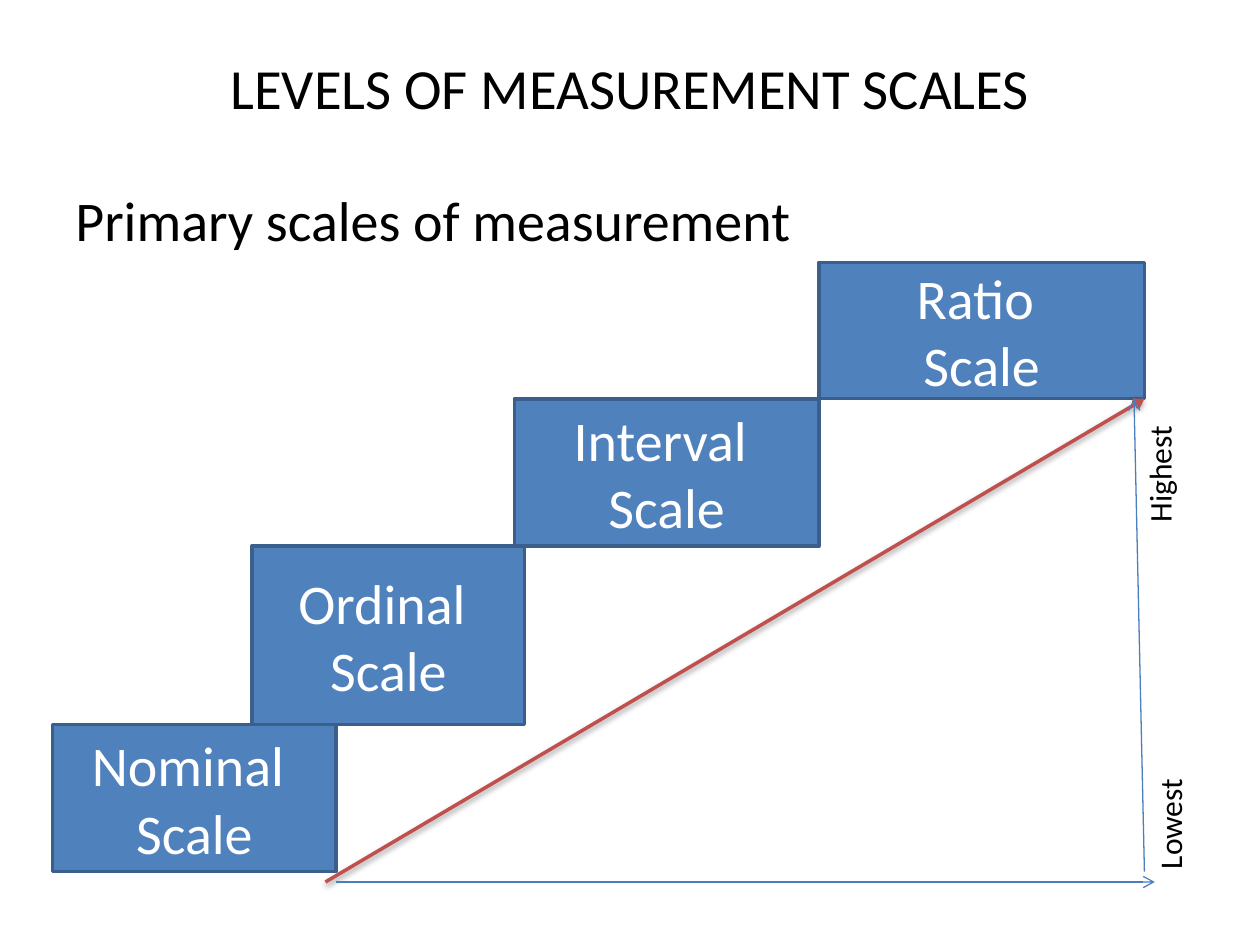
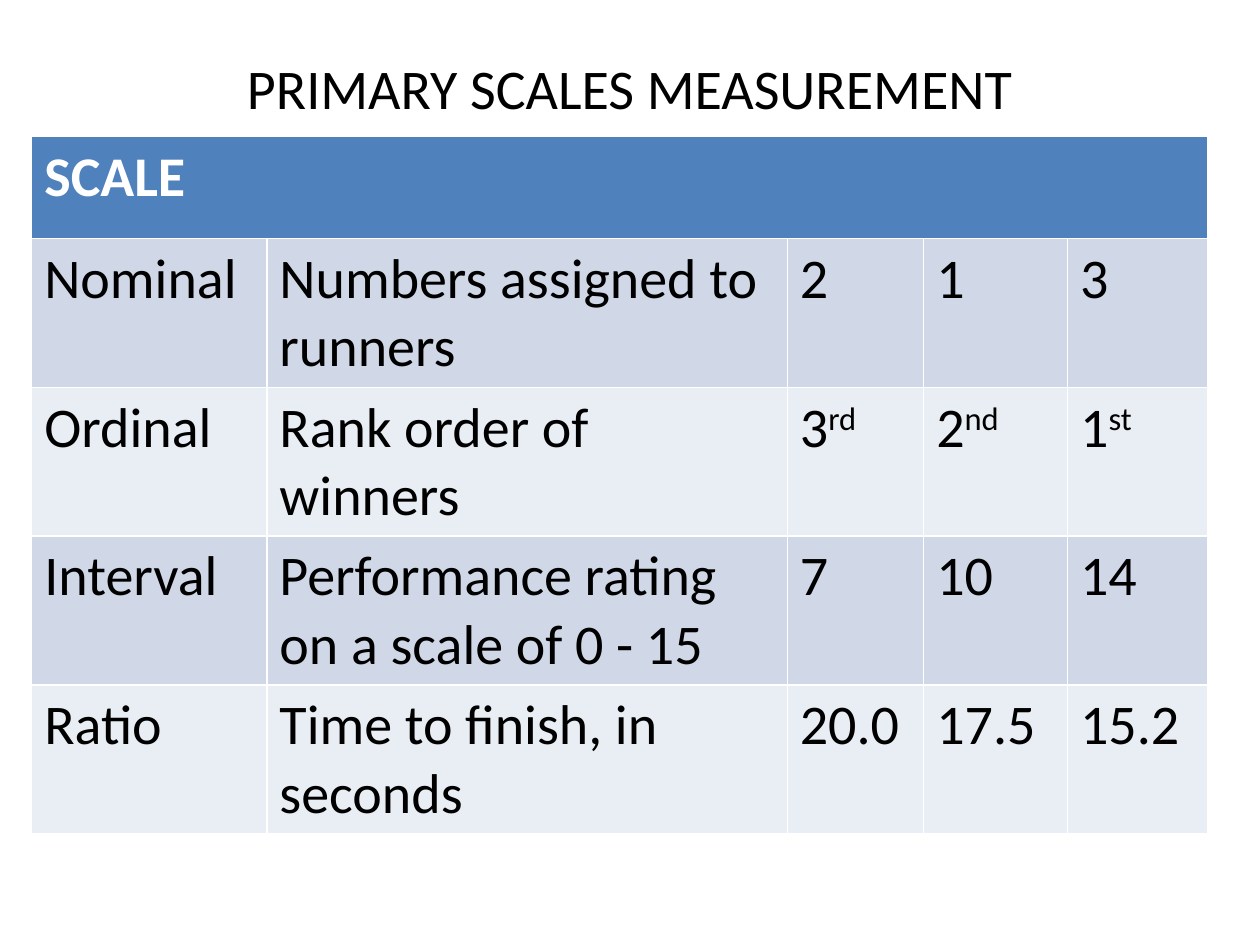
from lxml.etree import SubElement
from pptx import Presentation
from pptx.dml.color import RGBColor
from pptx.enum.shapes import MSO_CONNECTOR, MSO_SHAPE
from pptx.enum.text import MSO_ANCHOR, PP_ALIGN
from pptx.oxml.ns import qn
from pptx.util import Cm, Pt

BLUE, EDGE, THIN, RED = "4F81BD", "3A5F8C", "4B7EBC", "C0504D"
BLACK, WHITE = "000000", "FFFFFF"
BANDS = ["D0D8E8", "E9EDF4"]


def paint(fill, color):
    fill.solid()
    fill.fore_color.rgb = RGBColor.from_string(color)


def write(par, text, color=BLACK, size=32, bold=False):
    run = par.add_run()
    run.text = text
    run.font.name = "Calibri"
    run.font.size = Pt(size)
    run.font.bold = bold
    paint(run.font.fill, color)
    return run


deck = Presentation()
deck.slide_width, deck.slide_height = Cm(25.4), Cm(19.05)

slides = []
for title, size in [("LEVELS OF MEASUREMENT SCALES", 32.4),
                    ("PRIMARY SCALES MEASUREMENT", 32)]:
    slide = deck.slides.add_slide(deck.slide_layouts[6])
    frame = slide.shapes.add_textbox(Cm(1.27), Cm(0.76), Cm(22.86), Cm(1.98)).text_frame
    frame.word_wrap = True
    frame.vertical_anchor = MSO_ANCHOR.MIDDLE
    frame.paragraphs[0].alignment = PP_ALIGN.CENTER
    write(frame.paragraphs[0], title, size=size)
    slides.append(slide)
steps, grid = slides

frame = steps.shapes.add_textbox(Cm(1.27), Cm(3.61), Cm(22.86), Cm(13.41)).text_frame
frame.word_wrap = True
write(frame.paragraphs[0], "Primary scales of measurement")

for name, left, top, width, height in [
    ("Nominal ", 1.06, 14.61, 5.72, 2.96),
    ("Ordinal ", 5.08, 11.01, 5.5, 3.6),
    ("Interval ", 10.37, 8.04, 6.14, 2.97),
    ("Ratio ", 16.51, 5.29, 6.56, 2.75),
]:
    box = steps.shapes.add_shape(MSO_SHAPE.RECTANGLE, Cm(left), Cm(top), Cm(width), Cm(height))
    box.shadow.inherit = False
    paint(box.fill, BLUE)
    paint(box.line.fill, EDGE)
    box.line.width = Pt(2)
    frame = box.text_frame
    frame.vertical_anchor = MSO_ANCHOR.MIDDLE
    for par, text in [(frame.paragraphs[0], name), (frame.add_paragraph(), "Scale")]:
        par.alignment = PP_ALIGN.CENTER
        write(par, text, WHITE)

for start, end, color, width in [
    ((6.56, 17.78), (23.07, 8.04), RED, 2),
    ((6.77, 17.78), (23.28, 17.78), THIN, 0.75),
    ((23.07, 17.57), (22.86, 8.04), THIN, 0.75),
]:
    line = steps.shapes.add_connector(MSO_CONNECTOR.STRAIGHT, *map(Cm, start + end))
    paint(line.line.fill, color)
    line.line.width = Pt(width)
    props = line._element.spPr
    SubElement(props.find(qn("a:ln")), qn("a:tailEnd"), type="arrow")
    effect = SubElement(props, qn("a:effectLst"))
    if color == RED:
        shade = SubElement(effect, qn("a:outerShdw"), blurRad=str(Pt(3.1)),
                           dist=str(Pt(1.6)), dir="5400000", rotWithShape="0")
        tint = SubElement(shade, qn("a:srgbClr"), val=BLACK)
        SubElement(tint, qn("a:alpha"), val="38000")

for text, left, top in [("Lowest", 23.07, 14.82), ("Highest", 22.86, 7.83)]:
    frame = steps.shapes.add_textbox(Cm(left), Cm(top), Cm(1.28), Cm(2.95)).text_frame
    frame.word_wrap = True
    frame._txBody.bodyPr.set("vert", "vert270")
    write(frame.paragraphs[0], text, size=18)

rows = [
    ["Nominal", "Numbers assigned to runners", "2", "1", "3"],
    ["Ordinal", "Rank order of winners", "3^rd", "2^nd", "1^st"],
    ["Interval", "Performance rating on a scale of 0 - 15", "7", "10", "14"],
    ["Ratio", "Time to finish, in seconds", "20.0", "17.5", "15.2"],
]
widths = [4.74, 10.49, 2.75, 2.9, 2.82]
table = grid.shapes.add_table(5, 5, Cm(0.64), Cm(2.75), Cm(sum(widths)), Cm(14.06)).table
for col, width in zip(table.columns, widths):
    col.width = Cm(width)
for row, height in zip(table.rows, [2.06] + [3] * 4):
    row.height = Cm(height)

head = table.cell(0, 0)
head.merge(table.cell(0, 4))
paint(head.fill, BLUE)
write(head.text_frame.paragraphs[0], "SCALE", WHITE, bold=True)

for y, row in enumerate(rows):
    for x, text in enumerate(row):
        cell = table.cell(y + 1, x)
        paint(cell.fill, BANDS[y % 2])
        par = cell.text_frame.paragraphs[0]
        base, mark, suffix = text.partition("^")
        write(par, base)
        if suffix:
            write(par, suffix).font._element.set("baseline", "30000")

deck.save("out.pptx")
